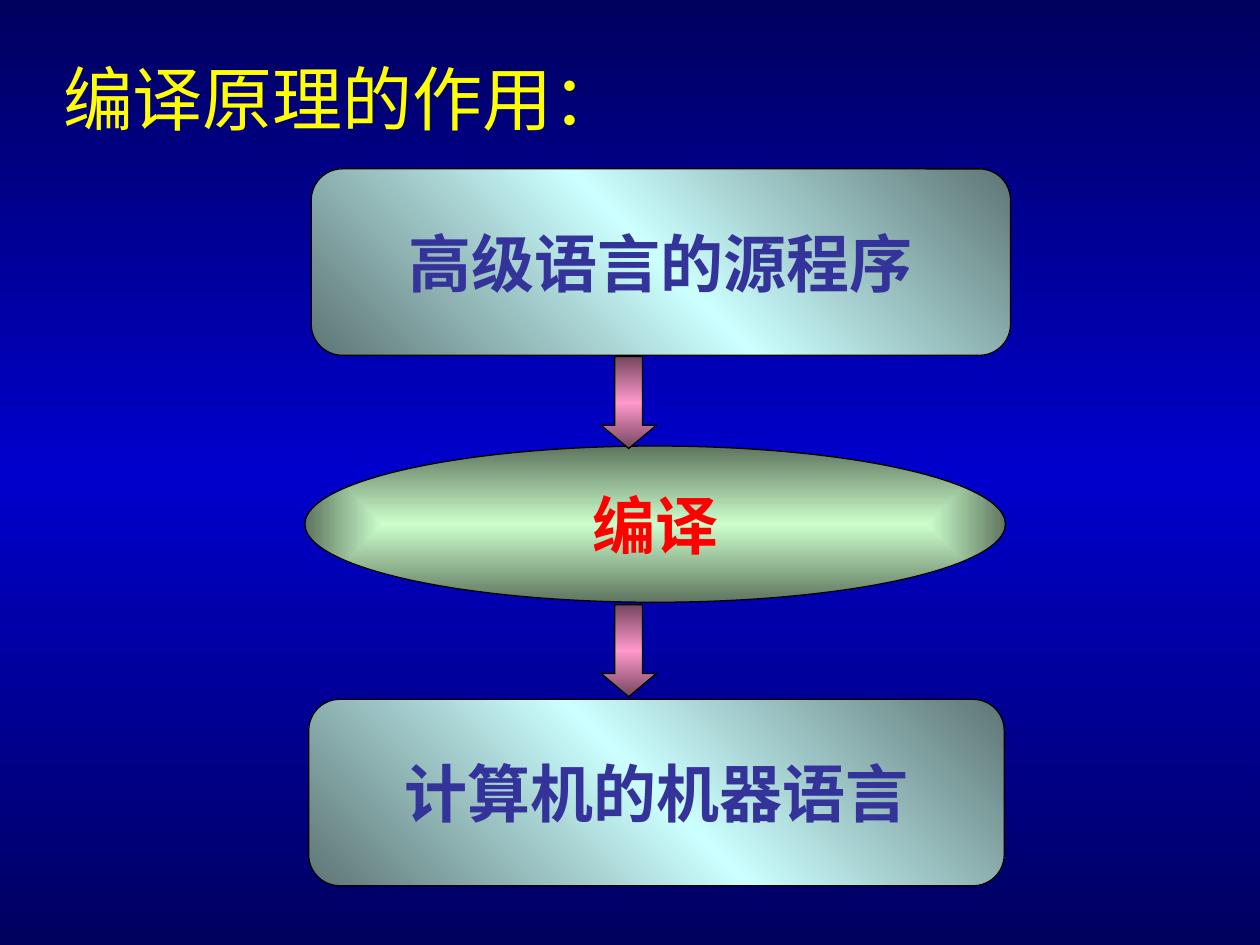
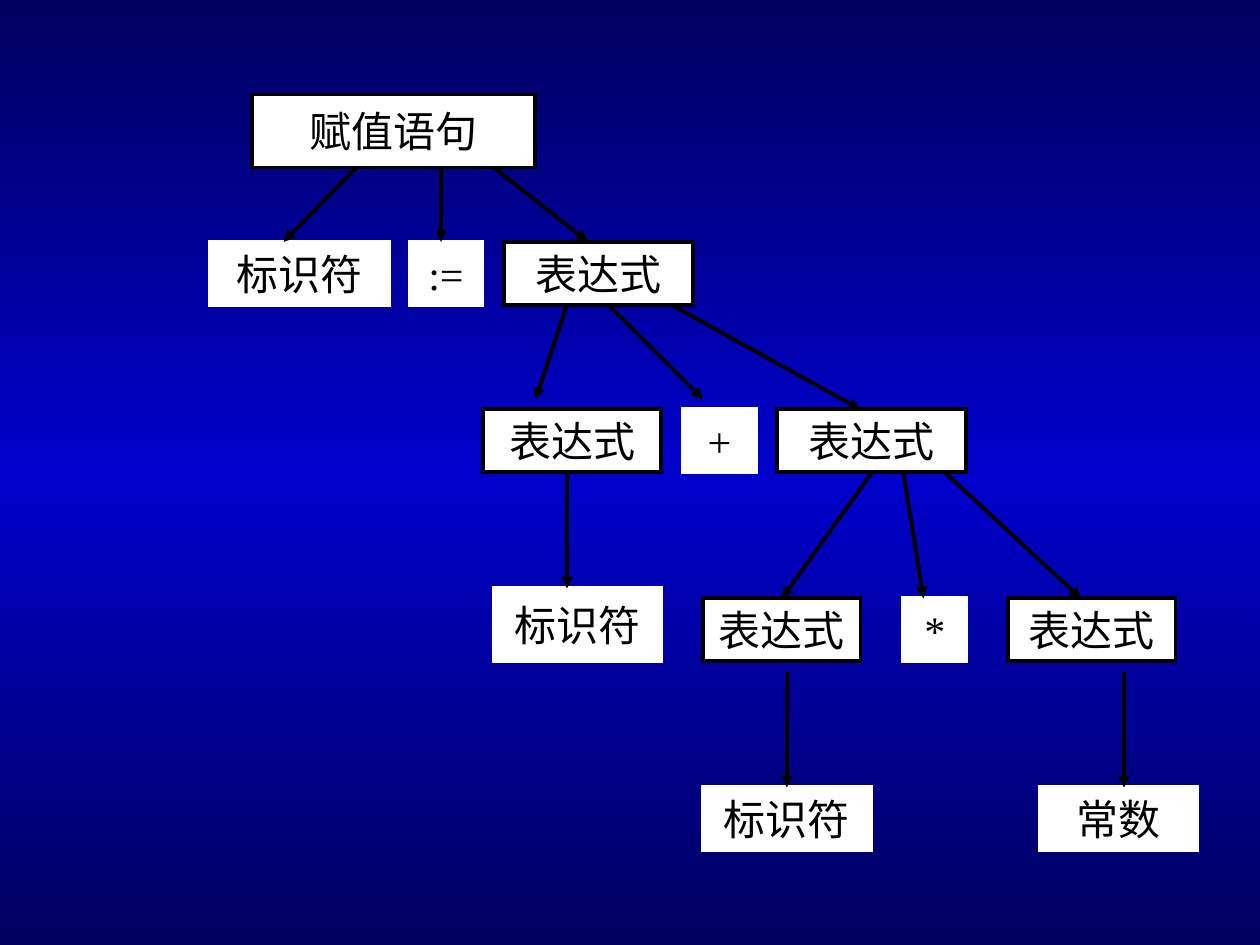
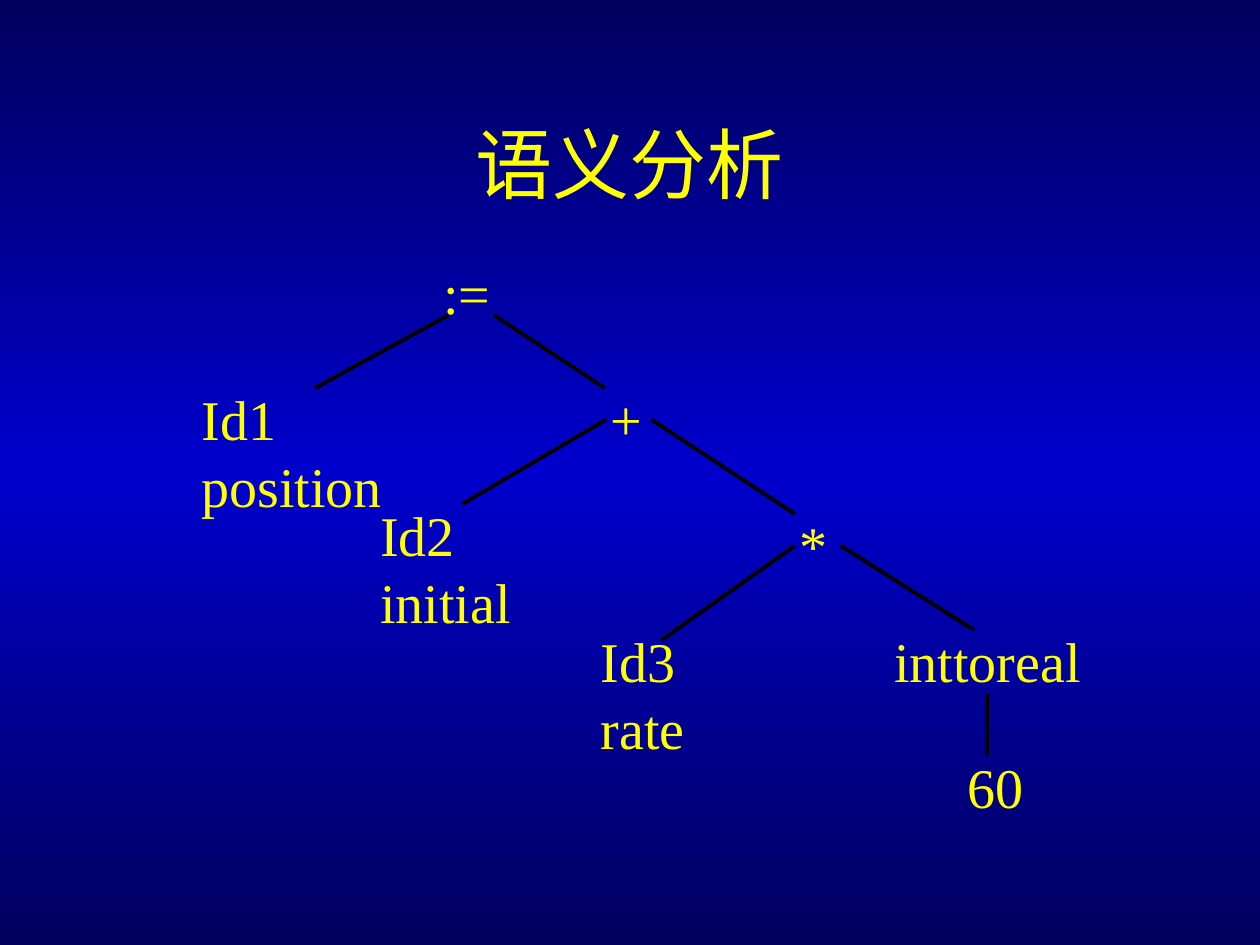
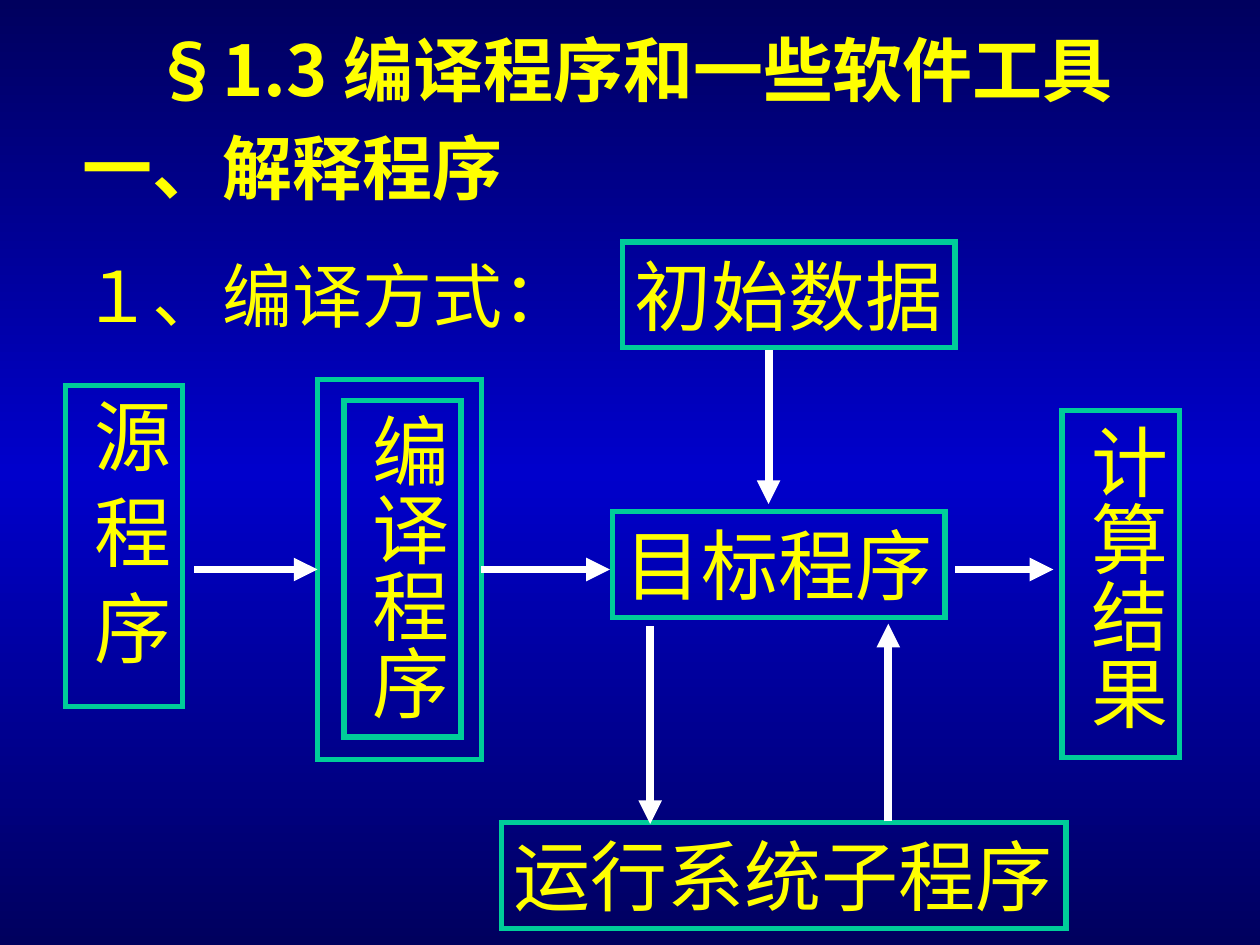
from dataclasses import dataclass
from math import hypot
from typing import Any, NamedTuple, Optional

from pptx import Presentation
from pptx.dml.color import RGBColor
from pptx.enum.shapes import MSO_CONNECTOR, MSO_SHAPE
from pptx.enum.text import MSO_ANCHOR, MSO_AUTO_SIZE, PP_ALIGN
from pptx.oxml import parse_xml
from pptx.oxml.ns import nsdecls, qn
from pptx.util import Emu, Inches, Pt

BLACK = RGBColor(0x00, 0x00, 0x00)
WHITE = RGBColor(0xFF, 0xFF, 0xFF)
YELLOW = RGBColor(0xFF, 0xFF, 0x00)
RED = RGBColor(0xFF, 0x00, 0x00)
INDIGO = RGBColor(0x33, 0x33, 0x99)
TEAL = RGBColor(0x00, 0xCC, 0x99)
NAVY = RGBColor(0x00, 0x00, 0x5E)
BLUE = RGBColor(0x00, 0x00, 0xCC)
ICE = RGBColor(0xCC, 0xFF, 0xFF)
SLATE = RGBColor(0x5E, 0x75, 0x75)
MINT = RGBColor(0xCC, 0xFF, 0xCC)
MOSS = RGBColor(0x5E, 0x75, 0x5E)
PINK = RGBColor(0xFF, 0x99, 0xCC)
PLUM = RGBColor(0x75, 0x46, 0x5E)

SERIF = "Times New Roman"
SANS = "Noto Sans CJK SC"
TITLE_ONLY, BLANK = 5, 6
SNAP = 0.04


class Run(NamedTuple):
    """A piece of text with its font."""
    text: str
    face: str = SERIF
    bold: bool = False


class Area(NamedTuple):
    """Left, top, width and height in inches."""
    x: float
    y: float
    w: float
    h: float


class Blend(NamedTuple):
    """Gradient colours, with an angle or none for a rectangular path."""
    stops: tuple[RGBColor, ...]
    angle: Optional[int]


@dataclass(frozen=True)
class Look:
    """How the text of a box is set."""
    size: int
    color: RGBColor = YELLOW
    align: PP_ALIGN = PP_ALIGN.LEFT
    anchor: MSO_ANCHOR = MSO_ANCHOR.TOP
    wrap: bool = False
    upright: bool = False
    gap: float = 0
    bold: bool = False


@dataclass(frozen=True)
class Skin:
    """Outline and fill of a shape."""
    kind: MSO_SHAPE
    line: RGBColor
    width: float
    fill: Any = None


class Node(NamedTuple):
    """A shape with its text, place and styles."""
    text: str
    area: Area
    skin: Skin
    look: Look


class Link(NamedTuple):
    """A straight line between two points."""
    x1: float
    y1: float
    x2: float
    y2: float


class Pen(NamedTuple):
    """How a straight line is drawn."""
    color: RGBColor
    width: float
    arrow: bool


def put(target: Any, values: dict[str, Any]) -> None:
    """Set each named attribute on the target."""
    for name, value in values.items():
        setattr(target, name, value)


def blend(fill: Any, root: Any, tone: Blend) -> None:
    """Give a fill evenly spaced gradient stops."""
    fill.gradient()
    grad = next(root.iter(qn("a:gradFill")))
    for child in list(grad):
        grad.remove(child)
    step = 100000 // (len(tone.stops) - 1)
    stops = "".join(
        f'<a:gs pos="{i * step}"><a:srgbClr val="{color}"/></a:gs>'
        for i, color in enumerate(tone.stops))
    grad.append(parse_xml(f'<a:gsLst {nsdecls("a")}>{stops}</a:gsLst>'))
    if tone.angle is None:
        sides = " ".join(f'{side}="50000"' for side in "ltrb")
        shade = (f'<a:path {nsdecls("a")} path="rect">'
                 f'<a:fillToRect {sides}/></a:path>')
    else:
        shade = f'<a:lin {nsdecls("a")} ang="{tone.angle * 60000}" scaled="0"/>'
    grad.append(parse_xml(shade))


def write(shape: Any, paras: list[list[Run]], look: Look) -> None:
    """Fill a shape with styled paragraphs."""
    frame = shape.text_frame
    side, edge = (0.05, 0.1) if look.upright else (0.1, 0.05)
    put(frame, {
        "word_wrap": look.wrap, "auto_size": MSO_AUTO_SIZE.NONE,
        "vertical_anchor": look.anchor,
        "margin_left": Inches(side), "margin_right": Inches(side),
        "margin_top": Inches(edge), "margin_bottom": Inches(edge)})
    if look.upright:
        frame._txBody.find(qn("a:bodyPr")).set("vert", "eaVert")
    for i, runs in enumerate(paras):
        para = frame.add_paragraph() if i else frame.paragraphs[0]
        put(para, {"alignment": look.align,
                   "space_before": Pt(look.gap if i else 0)})
        for piece in runs:
            run = para.add_run()
            run.text = piece.text
            put(run.font, {"name": piece.face, "size": Pt(look.size),
                           "bold": piece.bold})
            run.font.color.rgb = look.color
            east = parse_xml(f'<a:ea {nsdecls("a")} typeface="{SANS}"/>')
            run.font._element.find(qn("a:latin")).addnext(east)


def inches(area: Area) -> list[Emu]:
    """Turn an area into lengths."""
    return [Inches(value) for value in area]


def head(slide: Any, run: Run, area: Area, look: Look) -> None:
    """Place and style the title."""
    title = slide.shapes.title
    put(title, dict(zip(("left", "top", "width", "height"), inches(area))))
    write(title, [[run]], look)


def label(slide: Any, paras: list[list[Run]], area: Area, look: Look) -> None:
    """Add a plain text box."""
    write(slide.shapes.add_textbox(*inches(area)), paras, look)


def form(slide: Any, area: Area, skin: Skin) -> Any:
    """Add a preset shape without text."""
    shape = slide.shapes.add_shape(skin.kind, *inches(area))
    shape.shadow.inherit = False
    if skin.fill is None:
        shape.fill.background()
    elif isinstance(skin.fill, Blend):
        blend(shape.fill, shape.element.spPr, skin.fill)
    else:
        shape.fill.solid()
        shape.fill.fore_color.rgb = skin.fill
    shape.line.color.rgb = skin.line
    shape.line.width = Pt(skin.width)
    shape.element.spPr.find(qn("a:ln")).append(
        parse_xml(f'<a:miter {nsdecls("a")} lim="800000"/>'))
    return shape


def draw(slide: Any, nodes: list[Node]) -> list[Any]:
    """Add shapes with their text."""
    shapes = []
    for node in nodes:
        shape = form(slide, node.area, node.skin)
        write(shape, [[Run(node.text, bold=node.look.bold)]], node.look)
        shapes.append(shape)
    return shapes


def join(shapes: list[Any], x: float, y: float) -> Optional[tuple[Any, int]]:
    """Find the shape and side whose middle lies at a point."""
    for shape in shapes:
        left, top = shape.left, shape.top
        wide, high = shape.width, shape.height
        sides = ((left + wide / 2, top), (left, top + high / 2),
                 (left + wide / 2, top + high), (left + wide, top + high / 2))
        for i, (px, py) in enumerate(sides):
            if hypot(px - Inches(x), py - Inches(y)) < Inches(SNAP):
                return shape, i
    return None


def wire(slide: Any, links: list[Link], pen: Pen, shapes: list[Any]) -> None:
    """Draw straight lines and join them to shapes they meet."""
    for link in links:
        line = slide.shapes.add_connector(
            MSO_CONNECTOR.STRAIGHT, *[Inches(value) for value in link])
        line.line.color.rgb = pen.color
        line.line.width = Pt(pen.width)
        props = line.element.spPr
        if pen.arrow:
            props.find(qn("a:ln")).append(
                parse_xml(f'<a:tailEnd {nsdecls("a")} type="triangle"/>'))
        props.append(parse_xml(f'<a:effectLst {nsdecls("a")}/>'))
        start = join(shapes, link.x1, link.y1)
        end = join(shapes, link.x2, link.y2)
        if start:
            line.begin_connect(*start)
        if end:
            line.end_connect(*end)


def role(slide: Any) -> None:
    """Show what a compiler is for."""
    head(slide, Run("编译原理的作用："), Area(0.4, 0.39, 4.64, 0.77), Look(40))
    mid = {"align": PP_ALIGN.CENTER, "anchor": MSO_ANCHOR.MIDDLE,
           "bold": True}
    card = Skin(MSO_SHAPE.ROUNDED_RECTANGLE, BLACK, 0.75,
                Blend((SLATE, ICE, SLATE), 135))
    oval = Skin(MSO_SHAPE.OVAL, BLACK, 0.75, Blend((MINT, MOSS), None))
    down = Skin(MSO_SHAPE.DOWN_ARROW, BLACK, 0.75,
                Blend((PLUM, PINK, PLUM), 90))
    draw(slide, [
        Node("高级语言的源程序", Area(2.47, 1.34, 5.55, 1.48), card,
             Look(36, INDIGO, **mid)),
        Node("计算机的机器语言", Area(2.45, 5.55, 5.52, 1.48), card,
             Look(36, INDIGO, **mid)),
        Node("编译", Area(2.42, 3.54, 5.56, 1.24), oval,
             Look(36, RED, **mid))])
    for top in (2.83, 4.8):
        arrow = form(slide, Area(4.77, top, 0.44, 0.73), down)
        arrow.adjustments[1] = 0.42


def syntax(slide: Any) -> None:
    """Draw the parse tree of an assignment."""
    look = Look(24, BLACK, PP_ALIGN.CENTER, MSO_ANCHOR.MIDDLE)
    inner = Skin(MSO_SHAPE.RECTANGLE, BLACK, 2.25, WHITE)
    leaf = Skin(MSO_SHAPE.RECTANGLE, WHITE, 2.25, WHITE)
    parts = [
        ("赋值语句", inner, 2, 0.75, 2.25, 0.58),
        ("标识符", leaf, 1.67, 1.92, 1.42, 0.5),
        (":=", leaf, 3.25, 1.92, 0.58, 0.5),
        ("表达式", inner, 4, 1.92, 1.5, 0.5),
        ("表达式", inner, 3.83, 3.25, 1.42, 0.5),
        ("+", leaf, 5.42, 3.25, 0.58, 0.5),
        ("表达式", inner, 6.17, 3.25, 1.5, 0.5),
        ("标识符", leaf, 3.92, 4.67, 1.33, 0.58),
        ("表达式", inner, 5.58, 4.75, 1.25, 0.5),
        ("*", leaf, 7.17, 4.75, 0.5, 0.5),
        ("表达式", inner, 8, 4.75, 1.33, 0.5),
        ("标识符", leaf, 5.58, 6.25, 1.33, 0.5),
        ("常数", leaf, 8.25, 6.25, 1.25, 0.5)]
    shapes = draw(slide, [Node(text, Area(*area), skin, look)
                          for text, skin, *area in parts])
    wire(slide, [
        Link(2.83, 1.33, 2.25, 1.92),
        Link(3.5, 1.33, 3.5, 1.92),
        Link(3.92, 1.33, 4.67, 1.92),
        Link(4.5, 2.42, 4.25, 3.17),
        Link(4.83, 2.42, 5.58, 3.17),
        Link(5.33, 2.42, 6.83, 3.25),
        Link(4.5, 3.75, 4.5, 4.67),
        Link(6.92, 3.75, 6.17, 4.75),
        Link(7.17, 3.75, 7.33, 4.75),
        Link(7.5, 3.75, 8.58, 4.75),
        Link(6.25, 5.33, 6.25, 6.25),
        Link(8.92, 5.33, 8.92, 6.25)], Pen(BLACK, 2.25, True), shapes)


def meaning(slide: Any) -> None:
    """Draw the tree made by semantic analysis."""
    head(slide, Run("语义分析"), Area(0.75, 0.67, 8.5, 1.25),
         Look(44, YELLOW, PP_ALIGN.CENTER, MSO_ANCHOR.MIDDLE, True))
    words = [
        (":=", 3.42, 2, 0.71, 0.64),
        ("+", 4.75, 3, 0.71, 0.64),
        ("*", 6.25, 4, 0.71, 0.64),
        ("Id1 position", 1.5, 3, 1.76, 1.17),
        ("Id2 initial", 2.92, 3.92, 1.32, 1.17),
        ("Id3 rate", 4.67, 4.92, 0.97, 1.17),
        ("inttoreal", 7, 4.92, 1.75, 0.64),
        ("60", 7.58, 5.92, 0.67, 0.64)]
    for text, *area in words:
        label(slide, [[Run(text)]], Area(*area), Look(32, wrap=True))
    wire(slide, [
        Link(3.56, 2.5, 2.5, 3.08),
        Link(3.92, 2.5, 4.8, 3.08),
        Link(4.81, 3.33, 3.67, 4),
        Link(5.17, 3.33, 6.31, 4.08),
        Link(6.31, 4.33, 5.25, 5.08),
        Link(6.67, 4.33, 7.73, 5),
        Link(7.83, 5.5, 7.83, 6)], Pen(BLACK, 2.25, False), [])


def tools(slide: Any) -> None:
    """Show how a compiled program is run."""
    head(slide, Run("§1.3 编译程序和一些软件工具", SANS, True),
         Area(1.11, 0.16, 8.1, 0.77), Look(40))
    label(slide, [[Run("一、解释程序", bold=True)],
                  [Run("１、", SANS), Run("编译方式：")]],
          Area(0.56, 0.94, 4.24, 2.8), Look(40, wrap=True, gap=25))
    frame = Skin(MSO_SHAPE.RECTANGLE, TEAL, 3)
    outer = form(slide, Area(2.52, 3.01, 1.3, 3.02), frame)
    flat = Look(44)
    tall = Look(44, wrap=True, upright=True)
    shapes = draw(slide, [
        Node("源 程 序", Area(0.52, 3.06, 0.93, 2.55), frame, tall),
        Node("编译程序", Area(2.73, 3.18, 0.93, 2.67), frame, tall),
        Node("计算结果", Area(8.43, 3.26, 0.93, 2.75), frame, tall),
        Node("目标程序", Area(4.86, 4.06, 2.64, 0.84), frame,
             Look(44, align=PP_ALIGN.CENTER)),
        Node("初始数据", Area(4.94, 1.92, 2.64, 0.84), frame, flat),
        Node("运行系统子程序", Area(3.98, 6.53, 4.48, 0.84), frame, flat)])
    wire(slide, [
        Link(1.54, 4.52, 2.52, 4.52),
        Link(3.85, 4.52, 4.84, 4.52),
        Link(7.58, 4.52, 8.36, 4.52),
        Link(6.1, 2.78, 6.1, 4),
        Link(5.16, 4.97, 5.16, 6.54),
        Link(7.05, 6.52, 7.05, 4.95)],
        Pen(WHITE, 4.5, True), [outer, *shapes])


def main() -> None:
    """Build the four slides."""
    deck = Presentation()
    put(deck, {"slide_width": Inches(10), "slide_height": Inches(7.5)})
    master = deck.slide_master
    blend(master.background.fill, master.element,
          Blend((NAVY, BLUE, NAVY), 90))
    for build, layout in ((role, TITLE_ONLY), (syntax, BLANK),
                          (meaning, TITLE_ONLY), (tools, TITLE_ONLY)):
        build(deck.slides.add_slide(deck.slide_layouts[layout]))
    deck.save("out.pptx")


if __name__ == "__main__":
    main()
